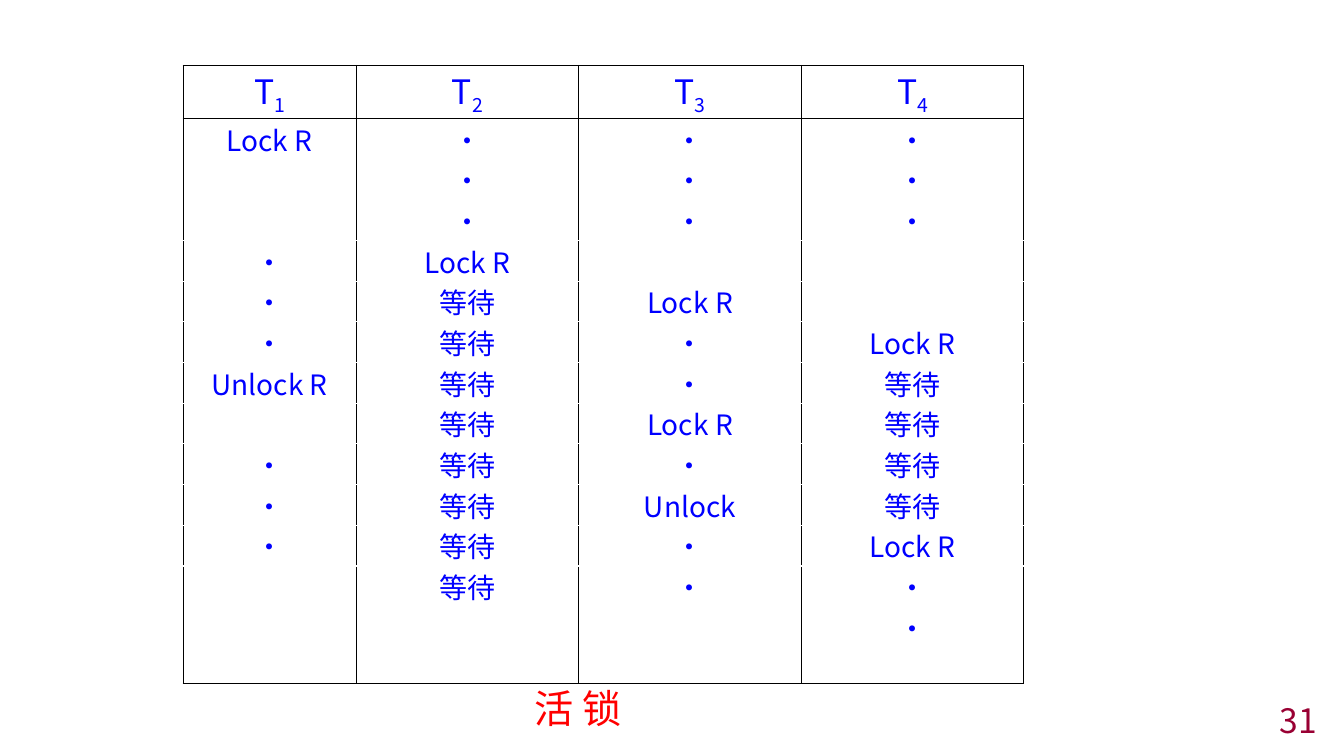
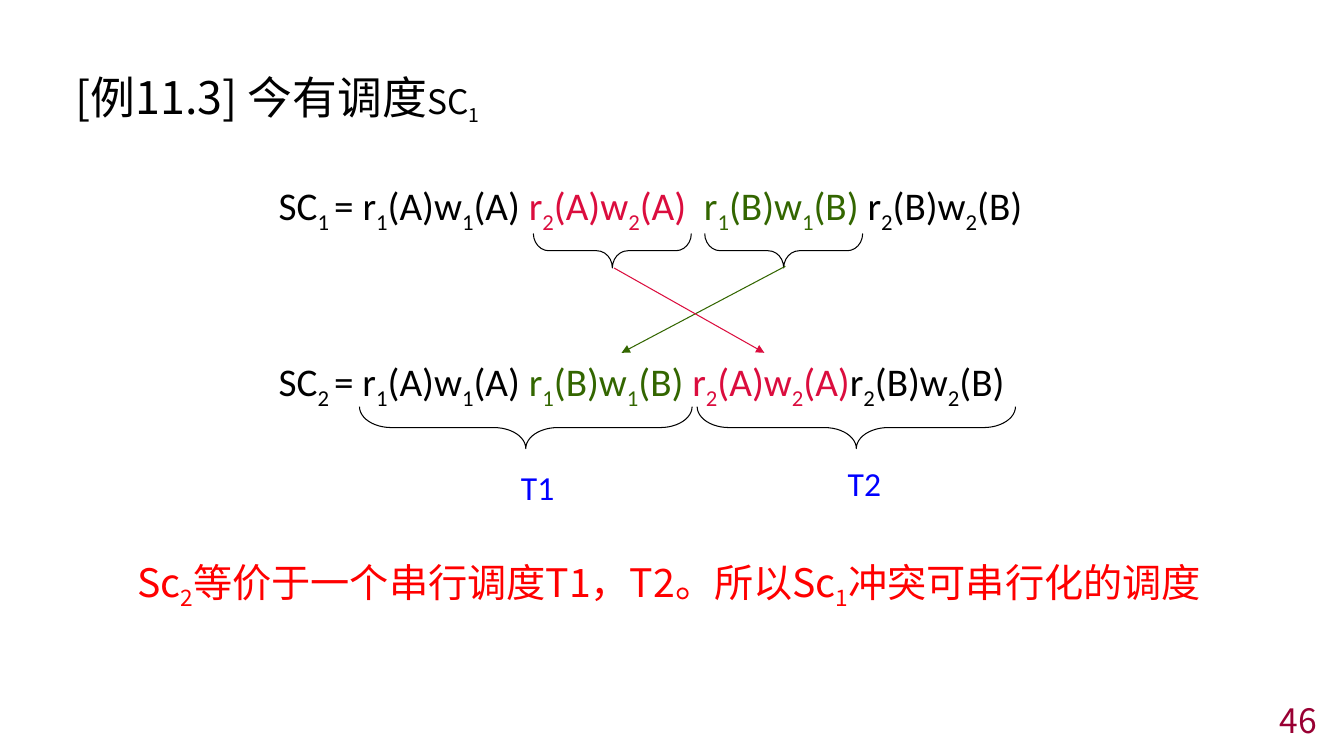
from dataclasses import dataclass
from typing import NamedTuple

from lxml import etree
from pptx import Presentation
from pptx.dml.color import RGBColor
from pptx.enum.shapes import MSO_CONNECTOR, MSO_SHAPE
from pptx.enum.text import MSO_ANCHOR, MSO_AUTO_SIZE, PP_ALIGN
from pptx.oxml.ns import qn
from pptx.util import Inches, Pt

LEFT, CENTER, RIGHT = PP_ALIGN.LEFT, PP_ALIGN.CENTER, PP_ALIGN.RIGHT
TOP, MIDDLE = MSO_ANCHOR.TOP, MSO_ANCHOR.MIDDLE
GROW, FIXED = MSO_AUTO_SIZE.SHAPE_TO_FIT_TEXT, MSO_AUTO_SIZE.NONE
STRAIGHT, BRACE = MSO_CONNECTOR.STRAIGHT, MSO_SHAPE.LEFT_BRACE

COLS, ROWS = 160, 90
CELL = Inches(1 / 12)
TITLE_ONLY, BLANK = 5, 6


@dataclass(frozen=True)
class Theme:
    cjk: str = "Noto Sans CJK SC"
    latin: str = "Calibri"
    black: str = "000000"
    white: str = "FFFFFF"
    blue: str = "0000FF"
    red: str = "FF0000"
    crimson: str = "DB0D3E"
    green: str = "336600"
    maroon: str = "990033"
    heading: int = 32
    large: int = 28
    medium: int = 24
    small: int = 20
    line: float = 0.75
    border: float = 1
    thin: float = 0.25


T = Theme()


class Box(NamedTuple):
    col: float
    row: float
    cols: float
    rows: float


class Span(NamedTuple):
    text: str
    color: str = T.black
    size: int = T.large
    font: str = T.cjk


class Brace(NamedTuple):
    box: Box
    curve: float


class Arrow(NamedTuple):
    start: tuple[float, float]
    end: tuple[float, float]
    color: str


class Operation(NamedTuple):
    transaction: int
    item: str
    color: str = T.black
    gap: str = ""


NUMBER_BOX = Box(124, 83.9, 34, 3.7)
TABLE_AT = (21.8, 7.8)
TABLE_COLS = [20.6] + [26.5] * 3
TABLE_ROWS = [6, 14] + [4.7] * 8 + [14]
DOTS = "•\n•\n•"
LOCK_ROWS = [
    ["T~1", "T~2", "T~3", "T~4"],
    ["Lock R", DOTS, DOTS, DOTS],
    ["•", "Lock R", "", ""],
    ["•", "等待", "Lock R", ""],
    ["•", "等待", "•", "Lock R"],
    ["Unlock R", "等待", "•", "等待"],
    ["", "等待", "Lock R", "等待"],
    ["•", "等待", "•", "等待"],
    ["•", "等待", "Unlock", "等待"],
    ["•", "等待", "•", "Lock R"],
    ["", "等待", "•", "•\n•"],
]
FIRST = Operation(1, "A", gap=" ")
LAST = Operation(2, "B")
SCHEDULES = [
    (Box(32, 21, 93.5, 6.8), 1.0,
     [FIRST, Operation(2, "A", T.crimson, "  "), Operation(1, "B", T.green, " "), LAST]),
    (Box(32, 42, 91.9, 6.4), 0.9,
     [FIRST, Operation(1, "B", T.green, " "), Operation(2, "A", T.crimson), LAST]),
]
BRACES = [
    Brace(Box(63.5, 27.8, 18.8, 4.1), 0.45),
    Brace(Box(83.9, 27.8, 18.8, 4.1), 0.45),
    Brace(Box(42.8, 48.4, 39.6, 5), 0.76),
    Brace(Box(83, 48.4, 37.9, 5), 0.76),
]
ARROWS = [
    Arrow((93.5, 31.7), (74, 42), T.green),
    Arrow((73.1, 31.9), (91, 42), T.crimson),
]
LABELS = [("T1", Box(54, 55, 20, 6)), ("T2", Box(92.9, 54.5, 20, 6))]


def grid(*values: float) -> list[int]:
    return [round(v * CELL) for v in values]


def apply(target, formats: dict) -> None:
    for name, value in formats.items():
        setattr(target, name, value)


def write(p, spans: list[Span], **formats) -> None:
    apply(p, formats)
    for span in spans:
        for i, piece in enumerate(span.text.split("~")):
            if not piece:
                continue
            r = p.add_run()
            r.text = piece
            apply(r.font, {"size": Pt(span.size), "name": span.font})
            r.font.color.rgb = RGBColor.from_string(span.color)
            rpr = r.font._element
            etree.SubElement(rpr, qn("a:ea")).set("typeface", T.cjk)
            if i % 2:
                rpr.set("baseline", "-25000")


def add_text(s, box: Box, spans: list[Span], wrap: bool = True,
             size_mode=GROW, anchor=TOP, **formats) -> None:
    tf = s.shapes.add_textbox(*grid(*box)).text_frame
    apply(tf, {"word_wrap": wrap, "auto_size": size_mode, "vertical_anchor": anchor})
    write(tf.paragraphs[0], spans, **formats)


def add_number(s, number: int) -> None:
    add_text(s, NUMBER_BOX, [Span(str(number), T.maroon, T.medium)],
             size_mode=FIXED, anchor=MIDDLE, alignment=RIGHT)


def set_border(cell, side: str, color: str, width: float) -> None:
    ln = etree.SubElement(cell._tc.get_or_add_tcPr(), qn(f"a:{side}"), w=str(Pt(width)))
    fill = etree.SubElement(ln, qn("a:solidFill"))
    etree.SubElement(fill, qn("a:srgbClr"), val=color)


def fill_cell(cell, text: str, row: int) -> None:
    last = len(LOCK_ROWS) - 1
    apply(cell, {"margin_left": Inches(0.07), "margin_right": Inches(0.07),
                 "margin_top": 0, "margin_bottom": 0})
    inner = (T.white, T.border)
    outer = (T.black, T.border)
    rule = (T.black, T.thin)
    borders = {
        "lnL": outer,
        "lnR": outer,
        "lnT": {0: outer, 1: rule}.get(row, inner),
        "lnB": {0: rule, last: outer}.get(row, inner),
    }
    for side, (color, width) in borders.items():
        set_border(cell, side, color, width)
    cell.fill.background()
    size = T.small if row else T.medium
    tf = cell.text_frame
    for i, line in enumerate(text.split("\n")):
        p = tf.add_paragraph() if i else tf.paragraphs[0]
        write(p, [Span(line, T.blue, size)], alignment=CENTER)


def add_lock_table(s) -> None:
    frame = s.shapes.add_table(
        len(TABLE_ROWS), len(TABLE_COLS),
        *grid(*TABLE_AT, sum(TABLE_COLS), sum(TABLE_ROWS)))
    table = frame.table
    apply(table, {"first_row": False, "horz_banding": False})
    for column, width in zip(table.columns, grid(*TABLE_COLS)):
        column.width = width
    for row, height in zip(table.rows, grid(*TABLE_ROWS)):
        row.height = height
    for i, texts in enumerate(LOCK_ROWS):
        for j, text in enumerate(texts):
            fill_cell(table.cell(i, j), text, i)


def add_brace(s, brace: Brace) -> None:
    col, row, cols, rows = brace.box
    shift = (cols - rows) / 2
    sp = s.shapes.add_shape(BRACE, *grid(col + shift, row - shift, rows, cols))
    sp.rotation = 270
    sp.adjustments[0] = brace.curve
    sp.shadow.inherit = False
    sp.fill.background()
    sp.line.color.rgb = RGBColor.from_string(T.black)
    sp.line.width = Pt(T.line)


def add_arrow(s, arrow: Arrow) -> None:
    sp = s.shapes.add_connector(STRAIGHT, *grid(*arrow.start, *arrow.end))
    sp.line.color.rgb = RGBColor.from_string(arrow.color)
    sp.line.width = Pt(T.line)
    etree.SubElement(sp.line._get_or_add_ln(), qn("a:tailEnd"), type="triangle")
    etree.SubElement(sp._element.spPr, qn("a:effectLst"))


def schedule_spans(number: int, operations: list[Operation]) -> list[Span]:
    spans = [Span(f"SC~{number} ~= ", font=T.latin)]
    for n, item, color, gap in operations:
        spans.append(Span(f"r~{n}~({item})w~{n}~({item}){gap}", color, font=T.latin))
    return spans


def set_title(s, box: Box, spans: list[Span]) -> None:
    sp = s.shapes.title
    apply(sp, dict(zip(("left", "top", "width", "height"), grid(*box))))
    apply(sp.text_frame, {"word_wrap": True, "auto_size": FIXED, "vertical_anchor": TOP})
    write(sp.text_frame.paragraphs[0], spans, alignment=LEFT, line_spacing=1.1)


def build_livelock(prs) -> None:
    s = prs.slides.add_slide(prs.slide_layouts[BLANK])
    add_number(s, 31)
    add_lock_table(s)
    add_text(s, Box(62.3, 80.9, 13.1, 6.8), [Span("活 锁", T.red)],
             wrap=False, alignment=CENTER)


def build_schedules(prs) -> None:
    s = prs.slides.add_slide(prs.slide_layouts[TITLE_ONLY])
    set_title(s, Box(7.8, 7, 144.5, 9.6),
              [Span("[例11.3] 今有调度", size=T.heading), Span("SC~1", size=T.medium)])
    add_number(s, 46)
    for number, (box, spacing, operations) in enumerate(SCHEDULES, 1):
        add_text(s, box, schedule_spans(number, operations),
                 wrap=False, line_spacing=spacing)
    for brace in BRACES:
        add_brace(s, brace)
    for arrow in ARROWS:
        add_arrow(s, arrow)
    for text, box in LABELS:
        add_text(s, box, [Span(text, T.blue, T.medium, T.latin)], alignment=CENTER)
    add_text(s, Box(15.2, 65.9, 129.6, 6.4),
             [Span("Sc~2~等价于一个串行调度T1，T2。所以Sc~1~冲突可串行化的调度", T.red)],
             line_spacing=0.9)


def main() -> None:
    prs = Presentation()
    prs.slide_width, prs.slide_height = grid(COLS, ROWS)
    build_livelock(prs)
    build_schedules(prs)
    prs.save("out.pptx")


if __name__ == "__main__":
    main()
